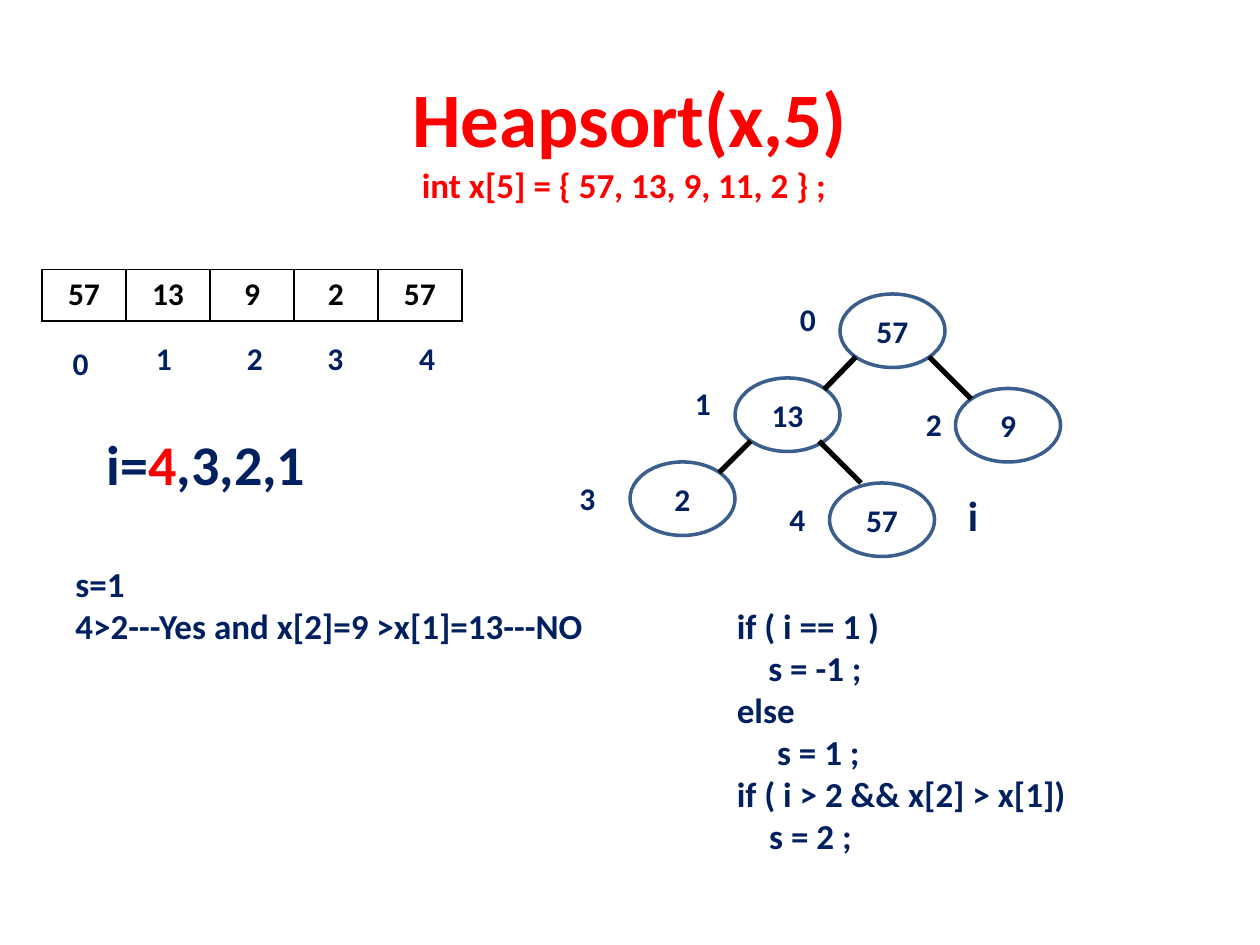
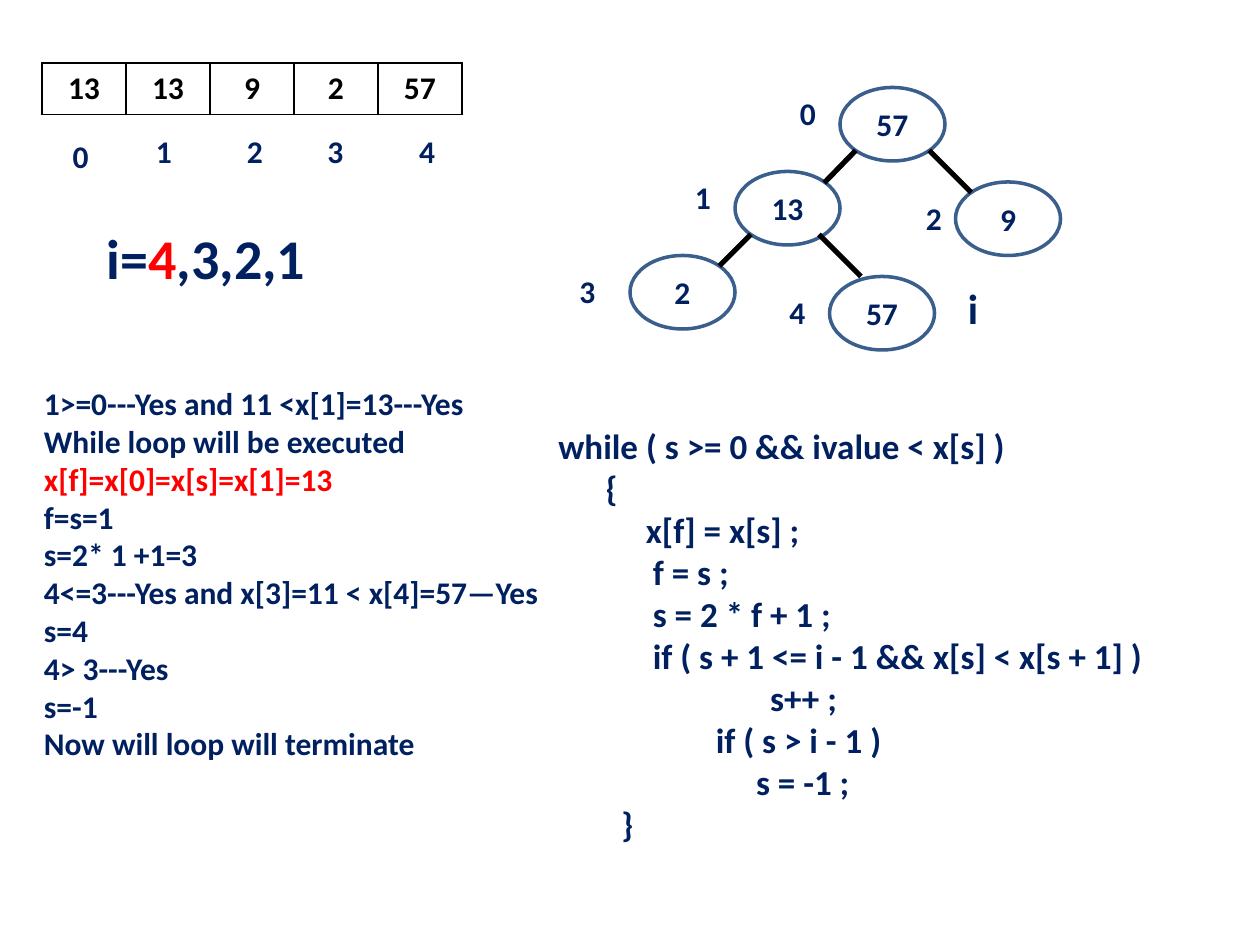
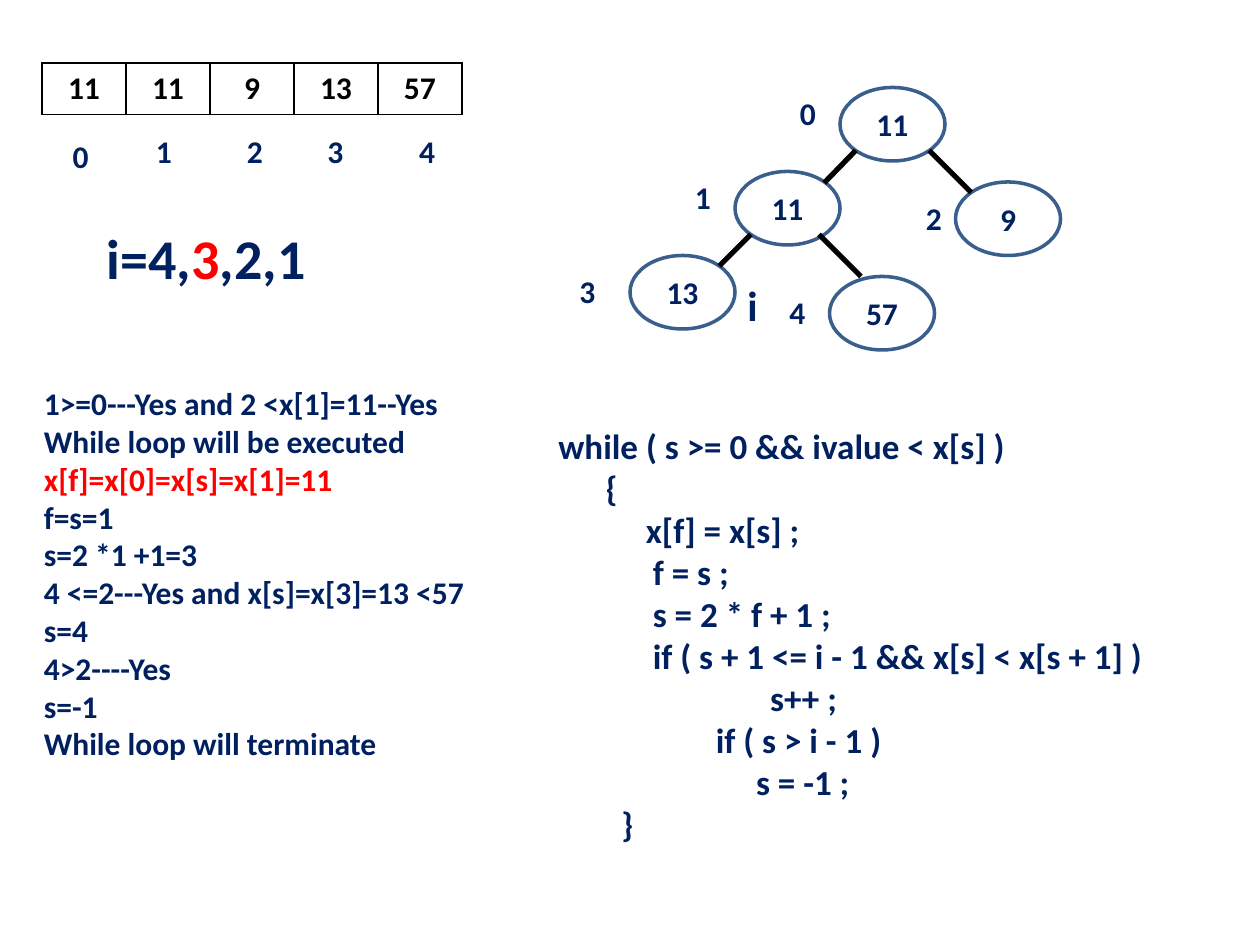
from pptx import Presentation
from pptx.dml.color import RGBColor
from pptx.enum import shapes, text
from pptx.oxml import parse_xml
from pptx.oxml.ns import nsdecls, qn
from pptx.util import Pt

NAVY = RGBColor(0x00, 0x20, 0x60)
RED = RGBColor(0xFF, 0x00, 0x00)
BLACK = RGBColor(0x00, 0x00, 0x00)
WHITE = RGBColor(0xFF, 0xFF, 0xFF)
OUTLINE = RGBColor(0x3A, 0x5F, 0x8C)
FONT = "Calibri"

TITLE_ONLY, BLANK = 5, 6
CELL_W, CELL_H = 48, 29.5
NODE_W, NODE_H = 60, 42

# Heap layout: x, and y measured down from the top of the array
NODES = [(480, 14), (420, 62), (546, 68), (360, 110), (474, 122)]
NODE_LABELS = [(450, 14), (390, 62), (522, 74), (324, 116), (444, 128)]
EDGES = [(489, 50, 471, 68.5), (531, 50, 555, 74),
         (429, 98, 411, 116), (468, 98, 492, 122)]
INDEX_LABELS = [(34.5, 39), (82, 36), (134, 36), (180, 36), (232.5, 36)]

# Code lines: left indent, wording
CHOOSE_CODE = [(72, "if ( i == 1 )"), (90, "s = -1 ;"), (72, "else"),
               (95, "s = 1 ;"), (72, "if ( i > 2 && x[2] > x[1])"),
               (90.5, "s = 2 ;")]
WHILE_CODE = [(0, "while ( s >= 0 && ivalue < x[s] )"), (27, "{"),
              (50, "x[f] = x[s] ;"), (54, "f = s ;"),
              (54, "s = 2 * f + 1 ;"),
              (54, "if ( s + 1 <= i - 1 && x[s] < x[s + 1] )"),
              (121, "s++ ;"), (90, "if ( s > i - 1 )"),
              (113, "s = -1 ;"), (36, "}")]

TRACE_57 = ["1>=0---Yes and 11 <x[1]=13---Yes", "While loop will be executed",
            "x[f]=x[0]=x[s]=x[1]=13", "f=s=1", "s=2* 1 +1=3",
            "4<=3---Yes and x[3]=11 < x[4]=57—Yes", "s=4", "4> 3---Yes",
            "s=-1", "Now will loop will terminate"]
TRACE_13 = ["1>=0---Yes and 2 <x[1]=11--Yes", "While loop will be executed",
            "x[f]=x[0]=x[s]=x[1]=11", "f=s=1", "s=2 *1 +1=3",
            "4 <=2---Yes and x[s]=x[3]=13 <57", "s=4", "4>2----Yes",
            "s=-1", "While loop will terminate"]


def style(p, size, color=NAVY):
    for r in p.runs:
        f = r.font
        f.name, f.size, f.bold = FONT, Pt(size), True
        f.color.rgb = color


def add_text(s, x, y, w, h, lines, size, color=NAVY, wrap=False):
    """Text box with one paragraph per line; returns its paragraphs."""
    tf = s.shapes.add_textbox(Pt(x), Pt(y), Pt(w), Pt(h)).text_frame
    tf.word_wrap = wrap
    tf.auto_size = text.MSO_AUTO_SIZE.SHAPE_TO_FIT_TEXT
    tf.text = "\n".join(lines)
    for p in tf.paragraphs:
        style(p, size, color)
    return tf.paragraphs


def add_code(s, x, y, w, h, code):
    lines = [line for _, line in code]
    for p, (indent, _) in zip(add_text(s, x, y, w, h, lines, 20, wrap=True), code):
        p._p.get_or_add_pPr().set("marL", str(Pt(indent)))


def add_labels(s, top, places):
    for i, (x, y) in enumerate(places):
        add_text(s, x, top + y, 24.5, 29, [str(i)], 18)


def add_node(s, x, y, value):
    sp = s.shapes.add_shape(shapes.MSO_SHAPE.OVAL, Pt(x), Pt(y), Pt(NODE_W), Pt(NODE_H))
    sp.shadow.inherit = False
    sp.fill.solid()
    sp.fill.fore_color.rgb = WHITE
    sp.line.color.rgb = OUTLINE
    sp.line.width = Pt(2)
    tf = sp.text_frame
    tf.text = str(value)
    tf.vertical_anchor = text.MSO_ANCHOR.MIDDLE
    p = tf.paragraphs[0]
    p.alignment = text.PP_ALIGN.CENTER
    style(p, 18)


def add_edge(s, x1, y1, x2, y2):
    ln = s.shapes.add_connector(shapes.MSO_CONNECTOR.STRAIGHT,
                                Pt(x1), Pt(y1), Pt(x2), Pt(y2))
    ln.line.color.rgb = BLACK
    ln.line.width = Pt(3)
    ln._element.spPr.append(parse_xml(f"<a:effectLst {nsdecls('a')}/>"))


def add_heap(s, top, values):
    for (x, y), value in zip(NODES, values):
        add_node(s, x, top + y, value)
    for x1, y1, x2, y2 in EDGES:
        add_edge(s, x1, top + y1, x2, top + y2)
    add_labels(s, top, NODE_LABELS)


def add_borders(cell):
    tcPr = cell._tc.get_or_add_tcPr()
    for i, side in enumerate(("lnL", "lnR", "lnT", "lnB")):
        tcPr.insert(i, parse_xml(
            f'<a:{side} {nsdecls("a")} w="{Pt(1)}"><a:solidFill>'
            f'<a:srgbClr val="{BLACK}"/></a:solidFill></a:{side}>'))


def add_array(s, top, values):
    n = len(values)
    table = s.shapes.add_table(1, n, Pt(24), Pt(top), Pt(n * CELL_W), Pt(CELL_H)).table
    table.first_row = table.horz_banding = False
    for i, value in enumerate(values):
        table.columns[i].width = Pt(CELL_W)
        cell = table.cell(0, i)
        cell.fill.background()
        cell.text = str(value)
        p = cell.text_frame.paragraphs[0]
        p.alignment = text.PP_ALIGN.CENTER
        style(p, 18, BLACK)
        add_borders(cell)
    add_labels(s, top, INDEX_LABELS)


def add_counter(s, top, before, current, after):
    """List of the values of i, with the current one in red."""
    p = add_text(s, 54, top + 88, 139, 46, [before], 32)[0]
    for part in (current, after):
        p.add_run().text = part
    style(p, 32)
    p.runs[1].font.color.rgb = RED


def add_state(s, top, array, heap, counter, marker):
    add_array(s, top, array)
    add_counter(s, top, *counter)
    add_heap(s, top, heap)
    x, y = marker
    add_text(s, x, top + y, 21, 36, ["i"], 24)


def add_title(s, wording):
    sp = s.shapes.title
    sp.left, sp.top, sp.width, sp.height = Pt(36), Pt(21.6), Pt(648), Pt(90)
    sp.text_frame.text = wording
    p = sp.text_frame.paragraphs[0]
    p.alignment = text.PP_ALIGN.CENTER
    style(p, 44, RED)


def add_trace(s, lines, w):
    paragraphs = add_text(s, 18, 216, w, 225, lines, 18)
    style(paragraphs[2], 18, RED)


def main():
    prs = Presentation()
    prs.slide_width, prs.slide_height = Pt(720), Pt(540)
    at_4, at_3 = ("i=", "4", ",3,2,1"), ("i=4,", "3", ",2,1")
    by_node_4, by_node_3 = (546, 122), (420, 120)

    # Choosing the larger child
    s = prs.slides.add_slide(prs.slide_layouts[TITLE_ONLY])
    add_title(s, "Heapsort(x,5)")
    add_text(s, 234, 90, 266, 32, ["int x[5] = { 57, 13, 9, 11, 2 } ;"], 20, RED, wrap=True)
    add_state(s, 154, [57, 13, 9, 2, 57], [57, 13, 9, 2, 57], at_4, by_node_4)
    add_text(s, 36, 318, 334, 55.5, ["s=1", "4>2---Yes and x[2]=9 >x[1]=13---NO"], 20)
    add_code(s, 342, 342, 360, 152.5, CHOOSE_CODE)

    # Running the while loop
    for array, heap, counter, marker, trace, width in (
            ([13, 13, 9, 2, 57], [57, 13, 9, 2, 57], at_4, by_node_4, TRACE_57, 328),
            ([11, 11, 9, 13, 57], [11, 11, 9, 13, 57], at_3, by_node_3, TRACE_13, 282)):
        s = prs.slides.add_slide(prs.slide_layouts[BLANK])
        add_state(s, 36, array, heap, counter, marker)
        add_trace(s, trace, width)
        add_code(s, 312, 239, 396, 271.5, WHILE_CODE)

    prs.save("out.pptx")


main()
